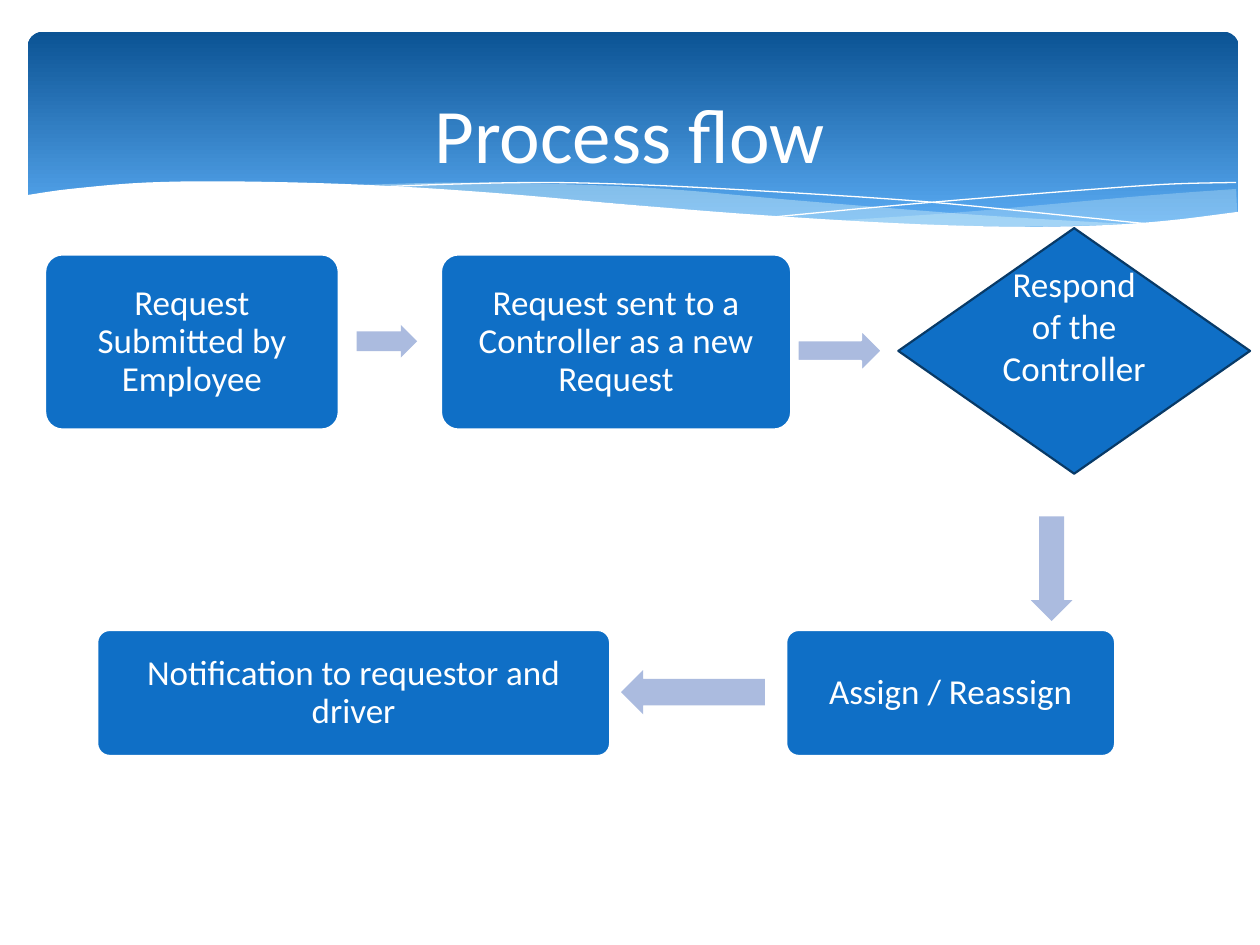
"""Build the process flow slide with a wave banner and five linked steps."""
from lxml import etree
from pptx import Presentation
from pptx.dml.color import RGBColor
from pptx.enum.shapes import MSO_SHAPE as Shape
from pptx.enum.text import MSO_ANCHOR as Anchor, PP_ALIGN as Align
from pptx.oxml.ns import qn
from pptx.util import Cm, Pt

WHITE, BLUE, NAVY, PALE, MIST = "FFFFFF", "0F6FC6", "083A67", "ABBBDF", "DBF5F9"

RIGHT_WAVE = [
    [(24.92, 3.81), (23.16, 3.94), (21.26, 4.11), (19.23, 4.29), (16.87, 4.45)],
    [(16.87, 4.45), (18.34, 4.52), (20.24, 4.57), (22.28, 4.55), (23.72, 4.45),
     (24.94, 4.27)],
]
MIDDLE_WAVE = [
    [(22.81, 4.52), (19.79, 4.34), (16.05, 4.04), (13.44, 3.81), (11.25, 3.71),
     (9.19, 3.68), (7.26, 3.73)],
    [(7.26, 3.73), (9.73, 3.89), (12.5, 4.11), (15.34, 4.37), (17.73, 4.5),
     (20.35, 4.57), (22.81, 4.52)],
]
FALLING_LINE = [
    [(7.85, 3.76), (9.22, 3.71), (11.02, 3.68), (13, 3.73), (15.52, 3.86),
     (18.57, 4.06), (21.23, 4.32), (23.19, 4.52)],
]
RISING_LINE = [
    [(15.65, 4.37), (17.75, 4.17), (19.84, 3.99), (22.12, 3.81), (23.62, 3.71),
     (24.92, 3.68)],
]
FRONT_WAVE = [
    [(24.97, 4.27), (23.52, 4.45), (22.05, 4.55), (20.27, 4.57), (18.06, 4.5),
     (15.39, 4.34), (12.83, 4.14), (9.96, 3.89), (7.42, 3.73), (4.88, 3.66),
     (2.97, 3.68), (1.42, 3.81), (0.51, 3.94)],
    [(0.51, 5.08), (24.97, 5.08)],
]


def color(value):
    """Turn a hex string into a colour."""
    return RGBColor.from_string(value)


def smooth(points, steps=5):
    """Return points along a Catmull-Rom curve through the given points."""
    if len(points) < 3:
        return points
    padded = [points[0], *points, points[-1]]
    curve = []
    for a, b, c, d in zip(padded, padded[1:], padded[2:], padded[3:]):
        for t in (step / steps for step in range(steps)):
            curve.append(tuple(
                (2 * q + (r - p) * t + (2 * p - 5 * q + 4 * r - s) * t ** 2
                 + (3 * q - p - 3 * r + s) * t ** 3) / 2
                for p, q, r, s in zip(a, b, c, d)))
    return curve + [points[-1]]


def write(shape, text, size=20, ink=WHITE, font="Calibri", spacing=1.0,
          margin=(0.25, 0.13, 0.25, 0.13)):
    """Put centred text with its format into a shape."""
    frame = shape.text_frame
    frame.word_wrap = True
    frame.vertical_anchor = Anchor.MIDDLE
    (frame.margin_left, frame.margin_top,
     frame.margin_right, frame.margin_bottom) = map(Cm, margin)
    paragraph = frame.paragraphs[0]
    paragraph.alignment = Align.CENTER
    paragraph.line_spacing = spacing
    run = paragraph.add_run()
    run.text = text
    run.font.size, run.font.name = Pt(size), font
    run.font.color.rgb = color(ink)


class FlowSlide:
    """Holds the style and the current slide."""

    def __init__(self, slide, line_width=1.25):
        """Keep the slide and the outline width."""
        self.slide = slide
        self.line_width = line_width

    def paint(self, shape, fill=None, line=None, width=None):
        """Set fill and outline and drop the shadow."""
        shape.shadow.inherit = False
        if fill:
            shape.fill.solid()
            shape.fill.fore_color.rgb = color(fill)
        else:
            shape.fill.background()
        if line:
            shape.line.color.rgb = color(line)
            shape.line.width = Pt(self.line_width if width is None else width)
        else:
            shape.line.fill.background()

    def shape(self, kind, box, fill, line=None, adjustments=()):
        """Add a preset shape."""
        shape = self.slide.shapes.add_shape(kind, *map(Cm, box))
        for index, value in enumerate(adjustments):
            shape.adjustments[index] = value
        self.paint(shape, fill, line)
        return shape

    def banner(self, box, stops):
        """Add the rounded banner with a vertical gradient."""
        shape = self.shape(Shape.ROUNDED_RECTANGLE, box, WHITE, adjustments=[0.07])
        shape.fill.gradient()
        shape.fill.gradient_angle = 270
        for stop, (position, value) in zip(shape.fill.gradient_stops, stops):
            stop.position = position
            stop.color.rgb = color(value)

    def wave(self, curves, fill=None, line=None, opacity=100):
        """Add a curved outline, closed when it is filled."""
        points = [(Cm(x), Cm(y)) for curve in curves for x, y in smooth(curve)]
        builder = self.slide.shapes.build_freeform(*points[0])
        builder.add_line_segments(points[1:], close=bool(fill))
        shape = builder.convert_to_shape()
        self.paint(shape, fill, line, width=0)
        if opacity < 100:
            value = shape.element.spPr.find(".//" + qn("a:srgbClr"))
            etree.SubElement(value, qn("a:alpha"), val=str(opacity * 1000))

    def title(self, text, box):
        """Place the title in front of the banner."""
        title = self.slide.shapes.title
        title.left, title.top, title.width, title.height = map(Cm, box)
        write(title, text, size=44)
        title.element.getparent().append(title.element)

    def step(self, text, box):
        """Add a rounded step box."""
        shape = self.shape(Shape.ROUNDED_RECTANGLE, box, BLUE, WHITE, [0.1])
        write(shape, text, spacing=0.9, margin=[0.2] * 4)

    def decision(self, text, box):
        """Add a decision diamond with its text raised."""
        shape = self.shape(Shape.DIAMOND, box, BLUE, NAVY)
        write(shape, text, margin=(0.25, 0.13, 0.25, 1.16))

    def arrow(self, kind, box, line=None, shaft=0.6):
        """Add a block arrow."""
        self.shape(kind, box, PALE, line, [shaft, 0.5])


def main():
    """Build and save the presentation."""
    presentation = Presentation()
    presentation.slide_width, presentation.slide_height = Cm(25.4), Cm(19.05)
    flow = FlowSlide(presentation.slides.add_slide(presentation.slide_layouts[5]))

    flow.banner((0.56, 0.64, 24.41, 4.29), [(0, "0B5394"), (0.9, "59AAF2")])
    flow.wave(RIGHT_WAVE, MIST, opacity=29)
    flow.wave(MIDDLE_WAVE, MIST, opacity=40)
    flow.wave(FALLING_LINE, line=WHITE)
    flow.wave(RISING_LINE, line=WHITE)
    flow.wave(FRONT_WAVE, WHITE)
    flow.title("Process flow", (1.27, 0.94, 22.86, 3.48))

    top, top_height, bottom, bottom_height = 5.13, 3.53, 12.7, 2.54
    flow.step("Request Submitted by Employee", (0.91, top, 5.92, top_height))
    flow.arrow(Shape.RIGHT_ARROW, (7.19, 6.55, 1.22, 0.66))
    flow.step("Request sent to a Controller as a new Request",
              (8.89, top, 7.06, top_height))
    flow.step("Notification to requestor and driver",
              (1.96, bottom, 10.34, bottom_height))
    flow.arrow(Shape.LEFT_ARROW, (12.52, 13.51, 2.9, 0.89))
    flow.step("Assign / Reassign", (15.85, bottom, 6.63, bottom_height))
    flow.arrow(Shape.DOWN_ARROW, (20.78, 10.41, 0.84, 2.11))
    flow.decision("Respond of the Controller", (18.11, 4.6, 7.09, 4.95))
    flow.arrow(Shape.RIGHT_ARROW, (16.08, 6.65, 1.7, 0.84), WHITE, 0.5)

    presentation.save("out.pptx")


if __name__ == "__main__":
    main()
